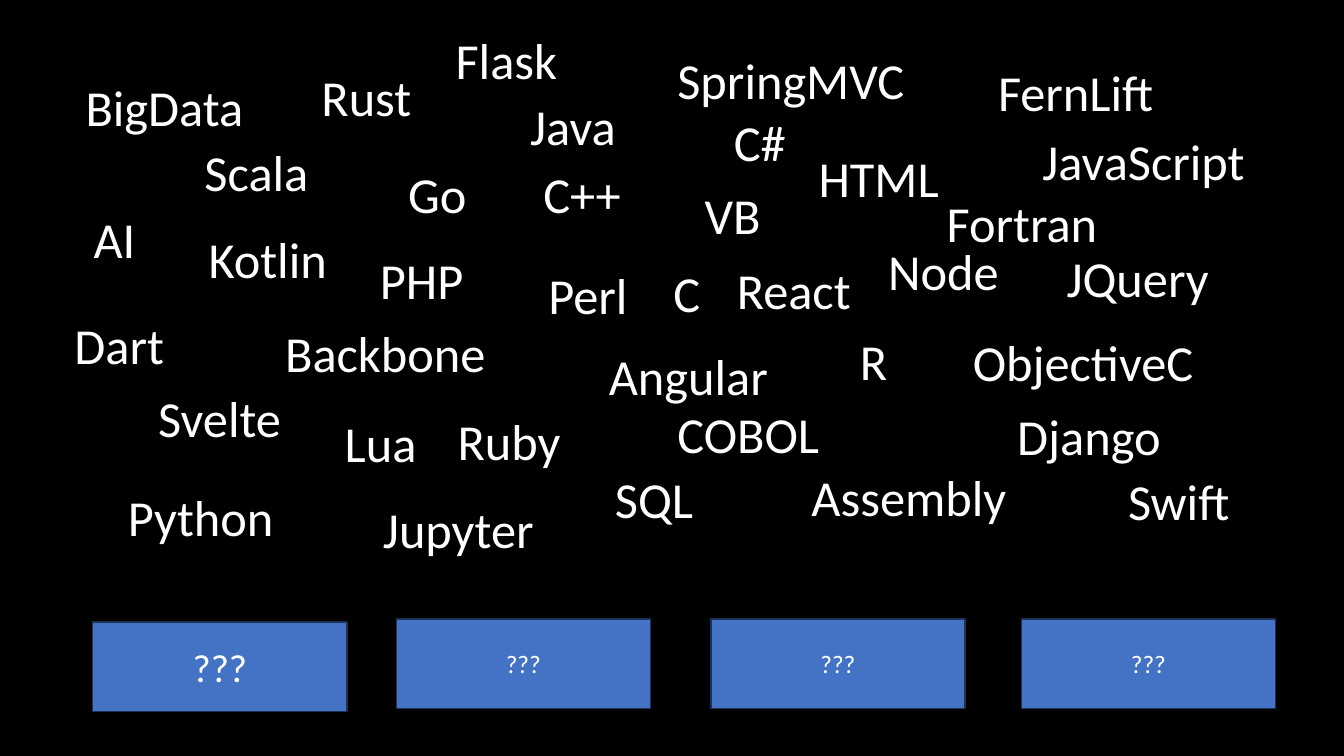
"""Build a slide with a cloud of technology names above four mystery boxes."""
from dataclasses import dataclass

import pptx
import pptx.dml.color
import pptx.enum.shapes
import pptx.enum.text
import pptx.slide
import pptx.text.text
import pptx.util

EMU_PER_PX = 9144
FONT = "Calibri"
COLOURS = {"background": "000000", "text": "FFFFFF", "box": "4472C4", "outline": "1E3256"}
WORD_HEIGHT, WORD_SIZE = 71, 36
BOX_WIDTH, BOX_HEIGHT = 252, 89


@dataclass(frozen=True)
class Word:
    text: str
    left: int
    top: int
    width: int


@dataclass(frozen=True)
class MysteryBox:
    left: int
    top: int = 614
    size: int = 18


WORDS = [
    Word("Scala", 193, 135, 124),
    Word("Rust", 309, 61, 110),
    Word("Go", 395, 157, 79),
    Word("C++", 529, 157, 98),
    Word("Java", 516, 89, 106),
    Word("C#", 718, 105, 72),
    Word("VB", 689, 178, 76),
    Word("Perl", 534, 257, 99),
    Word("PHP", 367, 242, 104),
    Word("React", 721, 252, 134),
    Word("Angular", 594, 337, 180),
    Word("JavaScript", 1024, 124, 223),
    Word("Node", 871, 233, 131),
    Word("SpringMVC", 662, 44, 247),
    Word("Jupyter", 370, 489, 171),
    Word("FernLift", 980, 56, 192),
    Word("COBOL", 662, 395, 162),
    Word("Ruby", 444, 402, 123),
    Word("R", 843, 323, 48),
    Word("Swift", 1109, 461, 123),
    Word("ObjectiveC", 955, 324, 241),
    Word("Kotlin", 197, 221, 139),
    Word("Fortran", 929, 186, 171),
    Word("Dart", 64, 307, 110),
    Word("Svelte", 147, 379, 143),
    Word("Lua", 332, 404, 92),
    Word("Python", 117, 477, 166),
    Word("C", 658, 255, 47),
    Word("SQL", 600, 459, 99),
    Word("Assembly", 795, 457, 215),
    Word("Backbone", 273, 315, 221),
    Word("JQuery", 1048, 240, 162),
    Word("BigData", 75, 71, 178),
    Word("AI", 83, 202, 62),
    Word("HTML", 802, 141, 140),
    Word("Django", 999, 397, 164),
    Word("Flask", 442, 24, 122),
]
MYSTERY_BOXES = [MysteryBox(92, 617, 28), MysteryBox(393), MysteryBox(705), MysteryBox(1013)]


def px(length: int) -> pptx.util.Emu:
    return pptx.util.Emu(length * EMU_PER_PX)


def colour(name: str) -> pptx.dml.color.RGBColor:
    return pptx.dml.color.RGBColor.from_string(COLOURS[name])


def write(frame: pptx.text.text.TextFrame, text: str, size: int) -> None:
    paragraph = frame.paragraphs[0]
    paragraph.text = text
    paragraph.font.name = FONT
    paragraph.font.size = pptx.util.Pt(size)
    paragraph.font.color.rgb = colour("text")


def draw_word(slide: pptx.slide.Slide, word: Word) -> None:
    label = slide.shapes.add_textbox(px(word.left), px(word.top), px(word.width), px(WORD_HEIGHT))
    label.text_frame.word_wrap = False
    label.text_frame.auto_size = pptx.enum.text.MSO_AUTO_SIZE.SHAPE_TO_FIT_TEXT
    write(label.text_frame, word.text, WORD_SIZE)


def draw_mystery_box(slide: pptx.slide.Slide, box: MysteryBox) -> None:
    panel = slide.shapes.add_shape(
        pptx.enum.shapes.MSO_SHAPE.RECTANGLE,
        px(box.left), px(box.top), px(BOX_WIDTH), px(BOX_HEIGHT),
    )
    panel.shadow.inherit = False
    panel.fill.solid()
    panel.fill.fore_color.rgb = colour("box")
    panel.line.color.rgb = colour("outline")
    panel.line.width = pptx.util.Pt(1)
    panel.text_frame.vertical_anchor = pptx.enum.text.MSO_ANCHOR.MIDDLE
    write(panel.text_frame, "???", box.size)
    panel.text_frame.paragraphs[0].alignment = pptx.enum.text.PP_ALIGN.CENTER


def main() -> None:
    presentation = pptx.Presentation()
    presentation.slide_width, presentation.slide_height = px(1333), px(750)
    slide = presentation.slides.add_slide(presentation.slide_layouts[6])
    slide.background.fill.solid()
    slide.background.fill.fore_color.rgb = colour("background")
    for word in WORDS:
        draw_word(slide, word)
    for box in MYSTERY_BOXES:
        draw_mystery_box(slide, box)
    presentation.save("out.pptx")


if __name__ == "__main__":
    main()
